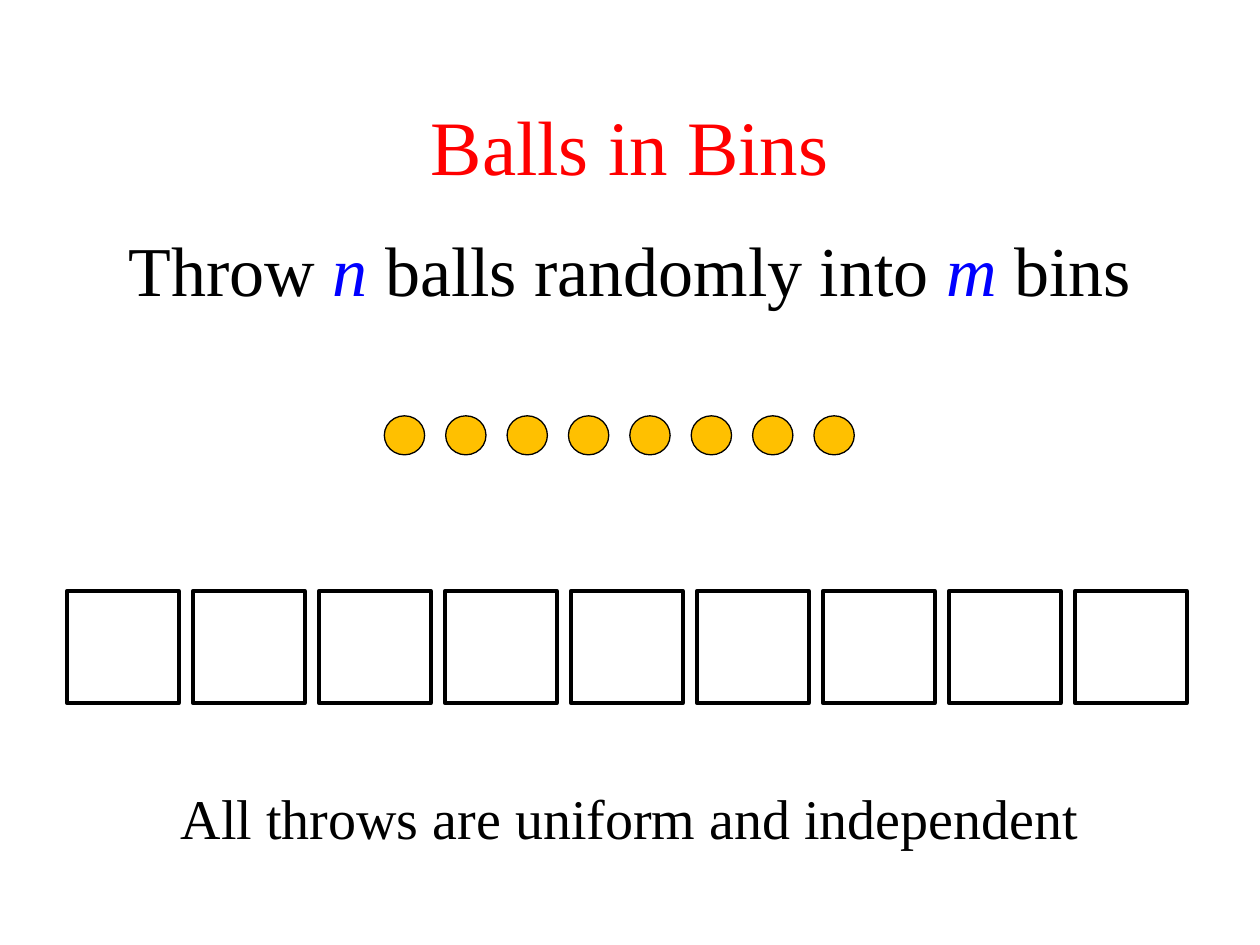
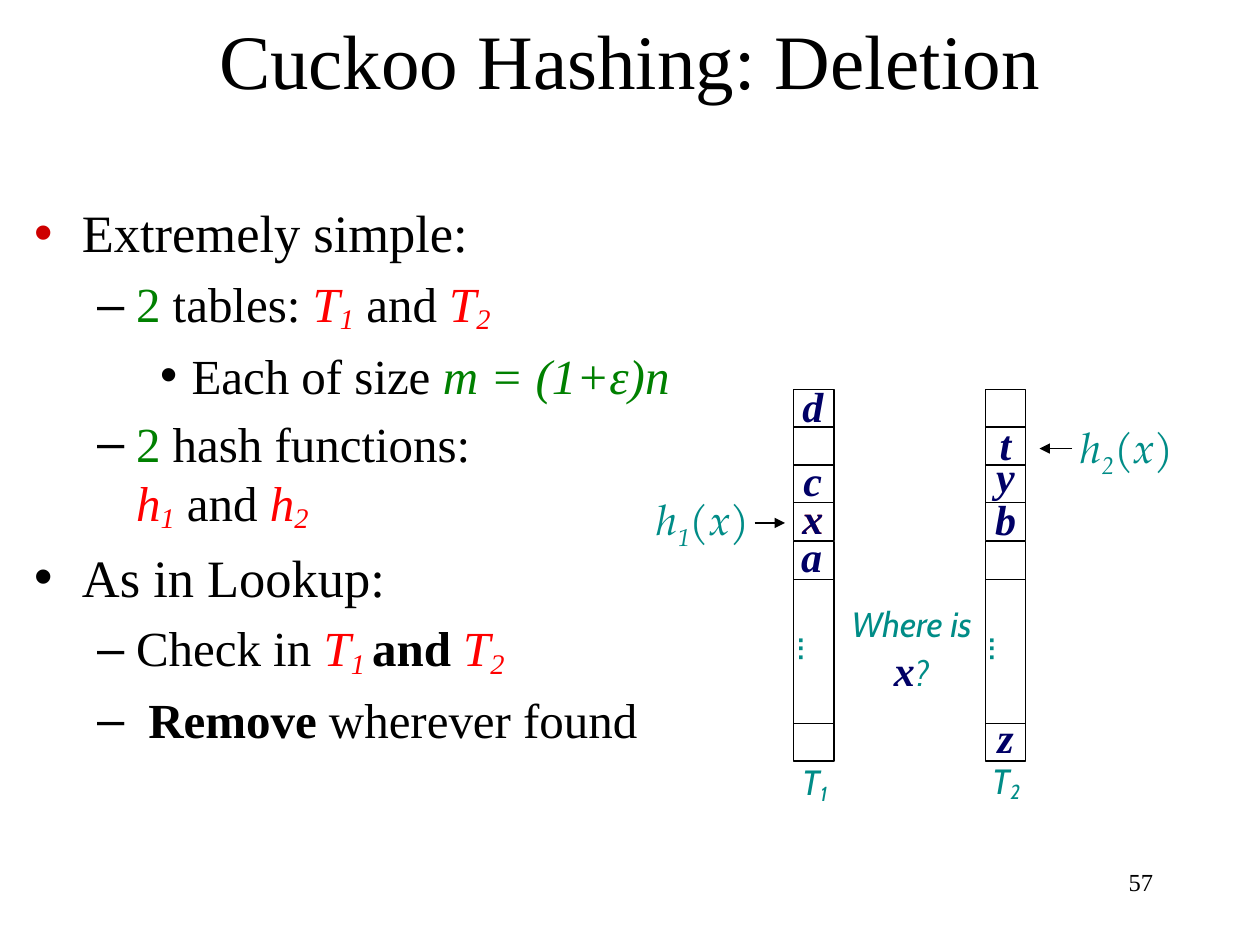
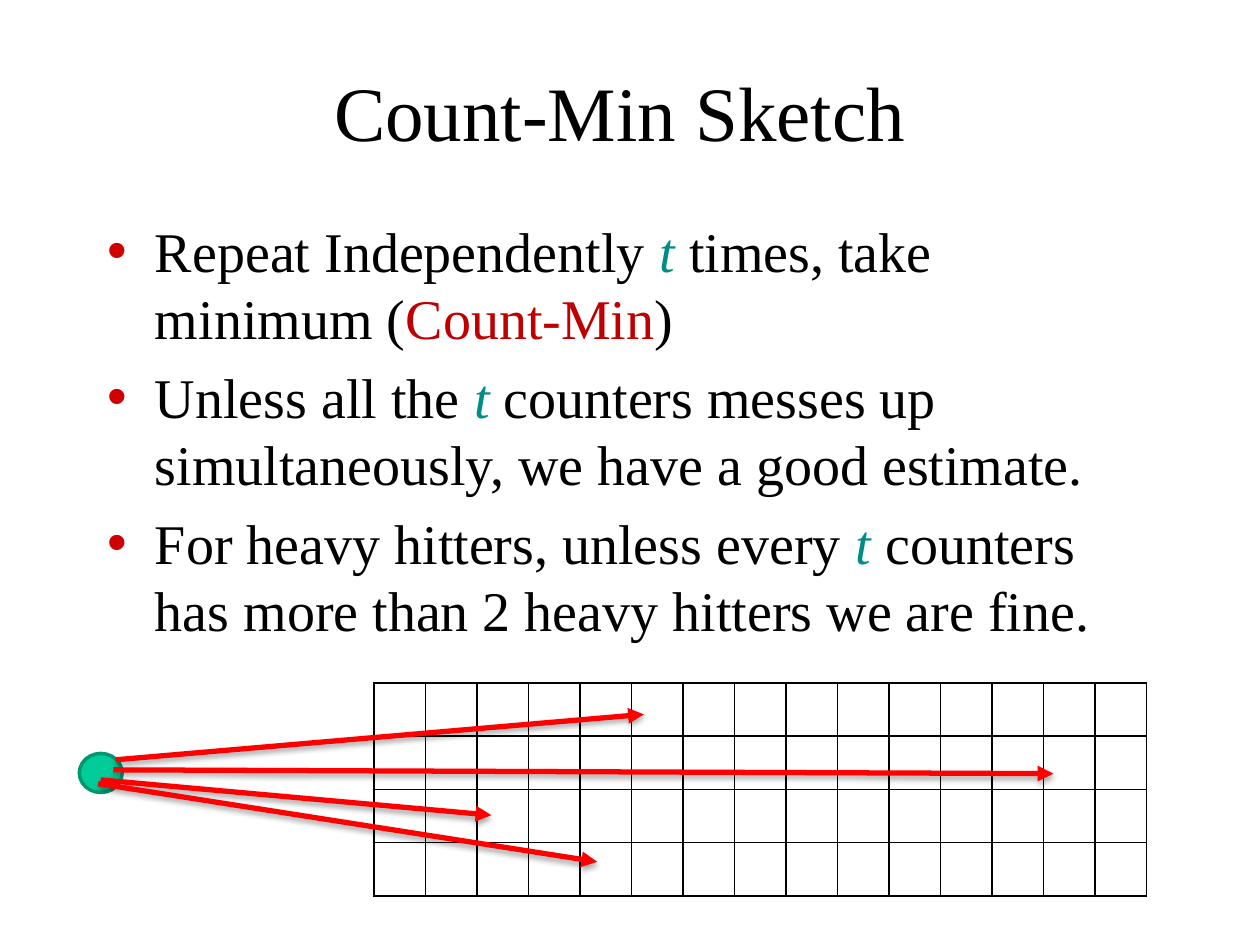
from lxml.etree import SubElement
from pptx import Presentation
from pptx.dml.color import RGBColor
from pptx.enum.shapes import MSO_CONNECTOR, MSO_SHAPE
from pptx.enum.text import MSO_ANCHOR, MSO_AUTO_SIZE, PP_ALIGN
from pptx.oxml.ns import qn
from pptx.util import Inches, Pt

BLACK = RGBColor(0x00, 0x00, 0x00)
RED = RGBColor(0xFF, 0x00, 0x00)
BLUE = RGBColor(0x00, 0x00, 0xFF)
GREEN = RGBColor(0x00, 0x80, 0x00)
TEAL = RGBColor(0x00, 0x8C, 0x87)
NAVY = RGBColor(0x00, 0x00, 0x66)
ORANGE_RED = RGBColor(0xFF, 0x33, 0x00)
DARK_RED = RGBColor(0xC0, 0x00, 0x00)
BULLET_RED = RGBColor(0xCE, 0x00, 0x00)
GOLD = RGBColor(0xFF, 0xC0, 0x00)
MINT = RGBColor(0x00, 0xCC, 0x99)
DARK_MINT = RGBColor(0x00, 0x97, 0x71)
SERIF = "Times New Roman"
SANS = "Cabin"
MATH = "TeX Gyre Pagella"


def add_runs(paragraph, runs, size, font=SERIF):
    for text, color, style in runs:
        if text == "\n":
            paragraph.add_line_break()
            continue
        run = paragraph.add_run()
        run.text = text
        run.font.name = font
        run.font.size = Pt(size)
        run.font.color.rgb = color
        run.font.bold = "b" in style
        run.font.italic = "i" in style
        if "_" in style:
            run.font._element.set("baseline", "-25000" if font == MATH else "-15000")


def add_text(slide, box, runs, size, font=SERIF, alignment=PP_ALIGN.CENTER, wrap=False):
    shape = slide.shapes.add_textbox(*map(Inches, box))
    shape.text_frame.word_wrap = wrap
    paragraph = shape.text_frame.paragraphs[0]
    paragraph.alignment = alignment
    add_runs(paragraph, runs, size, font)
    return shape


presentation = Presentation()
presentation.slide_width = Inches(10)
presentation.slide_height = Inches(7.5)

titles = [
    (5, "Balls in Bins", RED, (0, 0.52, 10, 1.25)),
    (1, "Cuckoo Hashing: Deletion", BLACK, (0.5, 0.11, 9, 0.72)),
    (1, "Count-Min Sketch", BLACK, (0.67, 0.25, 8.5, 1.25)),
]
for layout, text, color, box in titles:
    slide = presentation.slides.add_slide(presentation.slide_layouts[layout])
    title = slide.shapes.title
    title.left, title.top, title.width, title.height = map(Inches, box)
    title.text_frame.auto_size = MSO_AUTO_SIZE.NONE
    title.text_frame.vertical_anchor = MSO_ANCHOR.MIDDLE
    title.text_frame.paragraphs[0].alignment = PP_ALIGN.CENTER
    add_runs(title.text_frame.paragraphs[0], [(text, color, "")], 44)
balls_slide, cuckoo_slide, sketch_slide = presentation.slides

throw_runs = [
    ("Throw ", BLACK, ""), ("n", BLUE, "i"), (" balls randomly into ", BLACK, ""),
    ("m", BLUE, "i"), (" bins", BLACK, ""),
]
add_text(balls_slide, (0, 1.75, 10, 0.77), throw_runs, 40, wrap=True)
note = add_text(balls_slide, (0, 5.86, 10, 1.25),
                [("All throws are uniform and independent", BLACK, "")], 32, wrap=True)
note.text_frame.vertical_anchor = MSO_ANCHOR.MIDDLE

outlines = [(balls_slide, MSO_SHAPE.RECTANGLE, (0.53 + i, 4.69, 0.89, 0.89), None, BLACK, 2)
            for i in range(9)]
outlines += [(balls_slide, MSO_SHAPE.OVAL, (3.05 + 3.41 * i / 7, 3.3, 0.32, 0.31), GOLD, BLACK, 0.75)
             for i in range(8)]
table_rows = [(3.09, 0.3), (3.39, 0.3), (3.69, 0.3), (3.99, 0.3), (4.3, 0.3), (4.6, 1.14), (5.74, 0.3)]
outlines += [(cuckoo_slide, MSO_SHAPE.RECTANGLE, (left, top, 0.32, height), None, BLACK, 0.75)
             for left in (6.3, 7.82) for top, height in table_rows]
outlines.append((sketch_slide, MSO_SHAPE.OVAL, (0.63, 5.98, 0.34, 0.31), MINT, DARK_MINT, 2))

lists = [
    (cuckoo_slide, (0.17, 1.54, 7.24, 4.76), [
        (0, 30, BULLET_RED, [("Extremely simple:", BLACK, "")]),
        (1, 28, BLACK, [("2", GREEN, ""), (" tables: ", BLACK, ""), ("T", RED, "i"), ("1", RED, "i_"),
                        (" and ", BLACK, ""), ("T", RED, "i"), ("2", RED, "i_")]),
        (2, 28, BLACK, [("Each of size ", BLACK, ""), ("m = (1+ε)n", GREEN, "i")]),
        (1, 28, BLACK, [("2", GREEN, ""), (" hash functions: ", BLACK, ""), ("\n", BLACK, ""),
                        ("h", RED, "i"), ("1", RED, "i_"), (" and ", BLACK, ""),
                        ("h", RED, "i"), ("2", RED, "i_")]),
        (0, 30, BLACK, [("As in Lookup:", BLACK, "")]),
        (1, 28, BLACK, [("Check in ", BLACK, ""), ("T", RED, "i"), ("1 ", RED, "i_"),
                        ("and ", BLACK, "b"), ("T", RED, "i"), ("2", RED, "i_")]),
        (1, 28, BLACK, [(" ", BLACK, ""), ("Remove", BLACK, "b"), (" wherever found", BLACK, "")]),
    ]),
    (sketch_slide, (0.75, 1.67, 8.5, 5), [
        (0, 32, BULLET_RED, [("Repeat Independently ", BLACK, ""), ("t ", TEAL, "i"),
                             ("times, take minimum (", BLACK, ""), ("Count-Min", DARK_RED, ""),
                             (")", BLACK, "")]),
        (0, 32, BULLET_RED, [("Unless all the ", BLACK, ""), ("t ", TEAL, "i"),
                             ("counters messes up simultaneously, we have a good estimate.", BLACK, "")]),
        (0, 32, BULLET_RED, [("For heavy hitters, unless every ", BLACK, ""), ("t ", TEAL, "i"),
                             ("counters has more than 2 heavy hitters we are fine.", BLACK, "")]),
    ]),
]
indents = [(0.38, -0.38), (0.81, -0.31), (1.25, -0.25)]
for slide, box, items in lists:
    body = slide.placeholders[1]
    body.left, body.top, body.width, body.height = map(Inches, box)
    frame = body.text_frame
    frame.auto_size = MSO_AUTO_SIZE.NONE
    for index, (level, size, bullet_color, runs) in enumerate(items):
        paragraph = frame.add_paragraph() if index else frame.paragraphs[0]
        paragraph.level = level
        properties = paragraph._p.get_or_add_pPr()
        margin, indent = indents[level]
        properties.set("marL", str(Inches(margin)))
        properties.set("indent", str(Inches(indent)))
        bullet = SubElement(properties, qn("a:buClr"))
        SubElement(bullet, qn("a:srgbClr"), val=str(bullet_color))
        add_runs(paragraph, runs, size)

grid_frame = sketch_slide.shapes.add_table(4, 15, Inches(2.97), Inches(5.42), Inches(6.13), Inches(1.69))
grid = grid_frame.table
grid.first_row = False
grid.horz_banding = False
for cell in grid.iter_cells():
    properties = cell._tc.get_or_add_tcPr()
    for side in ("a:lnL", "a:lnR", "a:lnT", "a:lnB"):
        border = SubElement(properties, qn(side), w=str(Pt(1)))
        SubElement(SubElement(border, qn("a:solidFill")), qn("a:srgbClr"), val=str(BLACK))
    cell.fill.background()

for slide, kind, box, fill, line, width in outlines:
    shape = slide.shapes.add_shape(kind, *map(Inches, box))
    shape.shadow.inherit = False
    if fill is None:
        shape.fill.background()
    else:
        shape.fill.solid()
        shape.fill.fore_color.rgb = fill
    shape.line.color.rgb = line
    shape.line.width = Pt(width)

for left, top, number in [(6.24, 5.99, "1"), (7.76, 5.98, "2")]:
    dots = add_text(cuckoo_slide, (left + 0.07, 4.95, 0.43, 0.4), [("...", TEAL, "")], 24, SANS)
    dots.rotation = 90
    add_text(cuckoo_slide, (left, top, 0.45, 0.43), [("T", TEAL, "i"), (number, TEAL, "i_")], 20, SANS)
for left, top, width, number in [(5.11, 3.87, 0.94, "1"), (8.44, 3.3, 1.01, "2")]:
    hash_runs = [("h", TEAL, "i"), (number, TEAL, "i_"), ("(x)", TEAL, "i")]
    add_text(cuckoo_slide, (left, top, width, 0.5), hash_runs, 24, MATH)

keys = [
    ("x", 6.27, 3.86, ORANGE_RED), ("a", 6.26, 4.16, NAVY), ("c", 6.27, 3.56, NAVY),
    ("d", 6.27, 2.97, NAVY), ("b", 7.8, 3.87, NAVY), ("t", 7.8, 3.27, NAVY),
    ("y", 7.8, 3.53, NAVY), ("z", 7.8, 5.6, NAVY), ("x", 6.27, 3.86, NAVY),
]
for key, left, top, color in keys:
    add_text(cuckoo_slide, (left, top, 0.36, 0.5), [(key, color, "bi")], 24)

question = add_text(cuckoo_slide, (6.63, 4.73, 1.21, 0.83), [("Where is ", TEAL, "i")], 20, SANS, wrap=True)
add_runs(question.text_frame.paragraphs[0], [("x", NAVY, "bi")], 24)
add_runs(question.text_frame.paragraphs[0], [("?", TEAL, "i")], 20, SANS)
add_text(cuckoo_slide, (7.17, 6.83, 2.08, 0.5), [("57", BLACK, "")], 14, alignment=PP_ALIGN.RIGHT, wrap=True)

arrows = [
    (cuckoo_slide, (5.99, 4.15, 6.23, 4.15), BLACK, 0.75),
    (cuckoo_slide, (8.51, 3.56, 8.25, 3.56), BLACK, 0.75),
    (sketch_slide, (0.92, 6.03, 5.11, 5.67), RED, 3),
    (sketch_slide, (0.9, 6.11, 8.36, 6.14), RED, 3),
    (sketch_slide, (0.8, 6.19, 3.9, 6.47), RED, 3),
    (sketch_slide, (0.78, 6.22, 4.74, 6.84), RED, 3),
]
for slide, ends, color, width in arrows:
    arrow = slide.shapes.add_connector(MSO_CONNECTOR.STRAIGHT, *map(Inches, ends))
    arrow.line.color.rgb = color
    arrow.line.width = Pt(width)
    SubElement(arrow.line._get_or_add_ln(), qn("a:tailEnd"), type="triangle")
    effects = SubElement(arrow._element.spPr, qn("a:effectLst"))
    if slide is sketch_slide:
        shadow = SubElement(effects, qn("a:outerShdw"), blurRad=str(Pt(3.1)), dist=str(Pt(1.8)),
                            dir="5400000", rotWithShape="0")
        shadow_color = SubElement(shadow, qn("a:srgbClr"), val=str(BLACK))
        SubElement(shadow_color, qn("a:alpha"), val="35000")

presentation.save("out.pptx")
